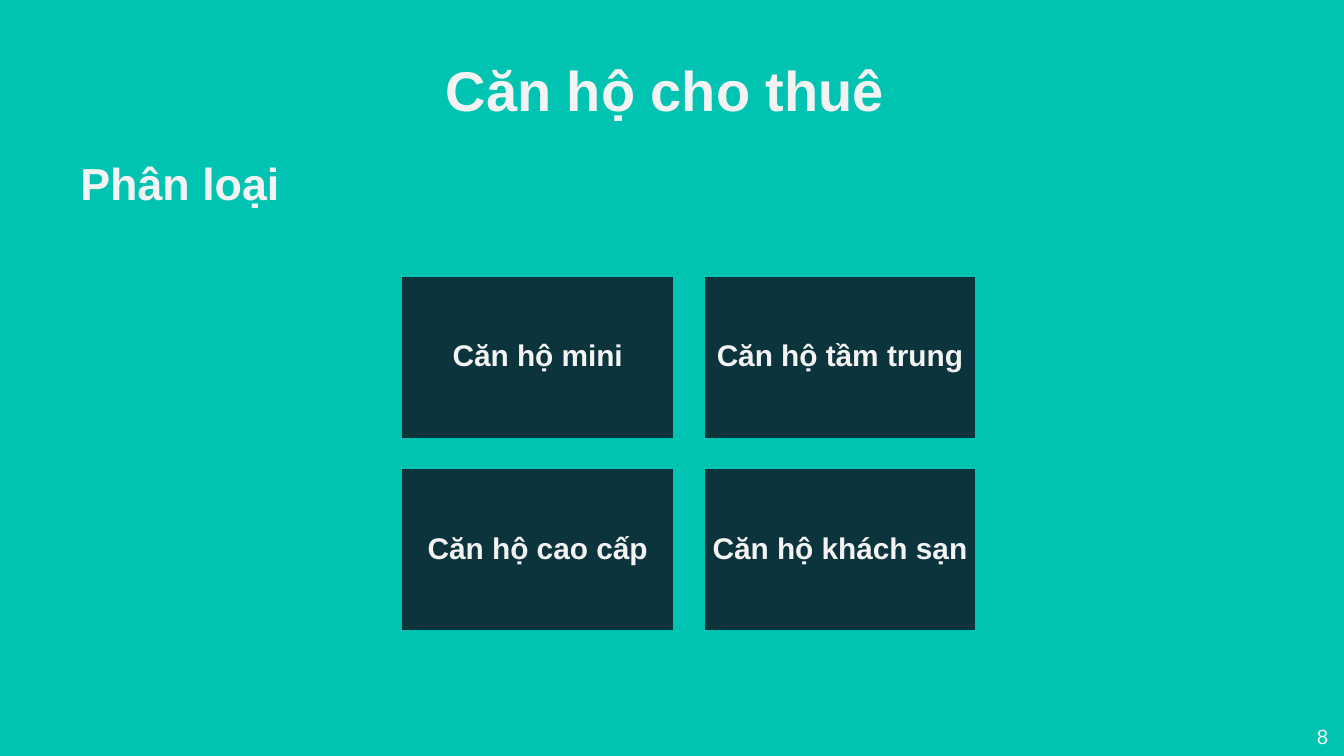
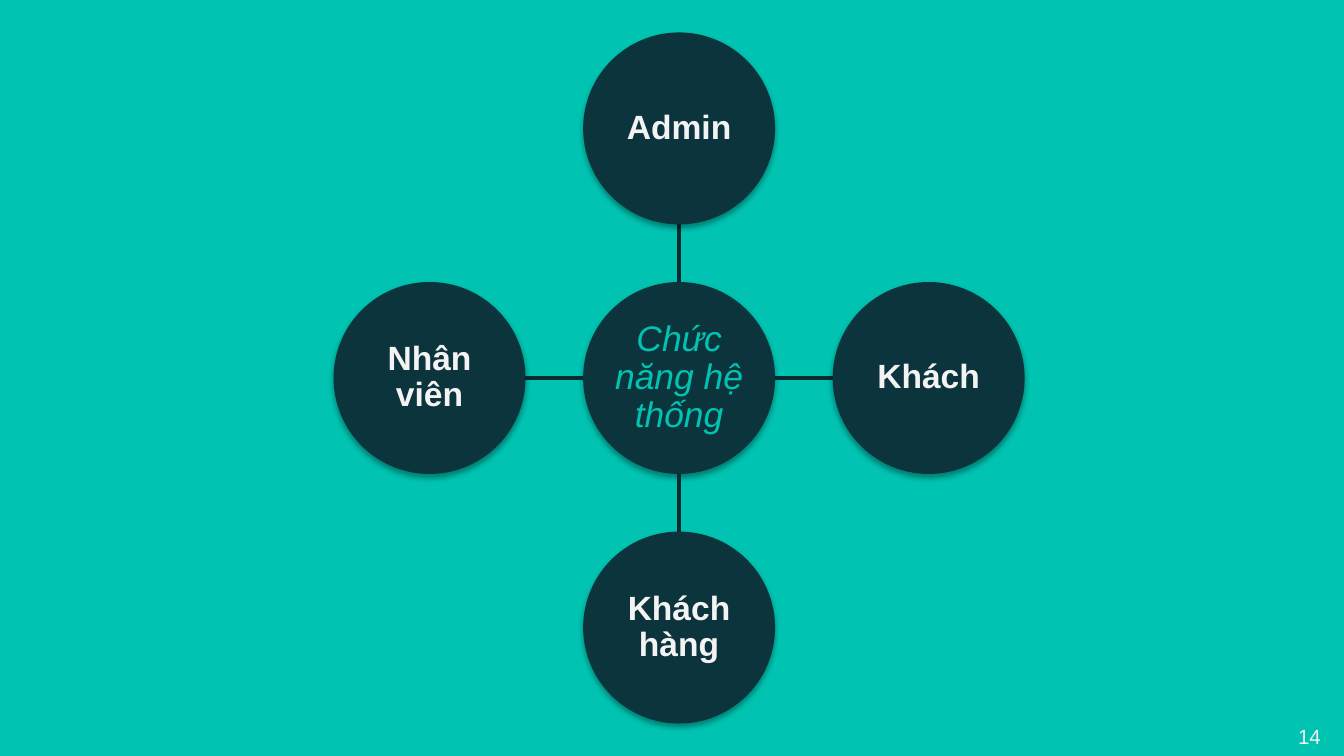
from dataclasses import dataclass

from lxml.etree import SubElement
from pptx import Presentation
from pptx.dml.color import RGBColor
from pptx.enum.shapes import MSO_CONNECTOR, MSO_SHAPE
from pptx.enum.text import MSO_ANCHOR, MSO_AUTO_SIZE, PP_ALIGN
from pptx.oxml.ns import qn
from pptx.util import Pt


@dataclass(frozen=True)
class Theme:
    teal: RGBColor = RGBColor(0x00, 0xC3, 0xB1)
    navy: RGBColor = RGBColor(0x0C, 0x34, 0x3D)
    spoke: RGBColor = RGBColor(0x0A, 0x2A, 0x31)
    pale: RGBColor = RGBColor(0xF3, 0xF3, 0xF3)
    font: str = "Arial"
    title: int = 30
    subtitle: int = 24
    hub: int = 19
    role: int = 18
    card: int = 16
    number: int = 11


THEME = Theme()
WIDTH, HEIGHT = 720, 405


def write(shape, text, size, align=PP_ALIGN.LEFT, anchor=MSO_ANCHOR.TOP,
          margins=(7.2, 7.2, 7.2, 7.2), spacing=1.0, color=THEME.pale,
          bold=False, italic=False):
    """Put one formatted paragraph in a shape; margins run left, top, right, bottom."""
    frame = shape.text_frame
    left, top, right, bottom = (Pt(margin) for margin in margins)
    frame_format = {
        "word_wrap": True, "auto_size": MSO_AUTO_SIZE.NONE, "vertical_anchor": anchor,
        "margin_left": left, "margin_top": top,
        "margin_right": right, "margin_bottom": bottom,
    }
    for name, value in frame_format.items():
        setattr(frame, name, value)
    para = frame.paragraphs[0]
    para.alignment, para.line_spacing = align, spacing
    span = para.add_run()
    span.text = text
    span.font.color.rgb = color
    font_format = {"name": THEME.font, "size": Pt(size), "bold": bold, "italic": italic}
    for name, value in font_format.items():
        setattr(span.font, name, value)


def add_title(page, text):
    title = page.shapes.title
    place = {"left": 57, "top": 22.3, "width": 607, "height": 45.4}
    for name, value in place.items():
        setattr(title, name, Pt(value))
    write(title, text, THEME.title, PP_ALIGN.CENTER,
          margins=(7.2, 7.2, 15.6, 7.2), bold=True)


def add_label(page, text, left, top, width, height, size, **text_format):
    box = page.shapes.add_textbox(Pt(left), Pt(top), Pt(width), Pt(height))
    write(box, text, size, **text_format)


def add_page_number(page, number, width):
    add_label(page, number, WIDTH - width, 384.5, width, 20.5, THEME.number,
              margins=(7.2, 3.6, 7.2, 3.6))


def add_block(page, kind, text, left, top, width, height, size, margin, **text_format):
    """Add a dark shape with centred text and no outline or shadow."""
    block = page.shapes.add_shape(kind, Pt(left), Pt(top), Pt(width), Pt(height))
    block.shadow.inherit = False
    block.fill.solid()
    block.fill.fore_color.rgb = THEME.navy
    block.line.fill.background()
    write(block, text, size, PP_ALIGN.CENTER, MSO_ANCHOR.MIDDLE, (margin,) * 4,
          0.9, **text_format)
    return block


def add_card(page, text, left, top, width, height):
    card = add_block(page, MSO_SHAPE.RECTANGLE, text, left, top, width, height,
                     THEME.card, 4, bold=True)
    card.line.color.rgb = THEME.teal
    card.line.width = Pt(2)


def add_circle(page, text, center_x, center_y, diameter, size, **text_format):
    circle = add_block(page, MSO_SHAPE.OVAL, text, center_x - diameter / 2,
                       center_y - diameter / 2, diameter, diameter, size, 0.7,
                       **text_format)
    effects = circle._element.spPr.find(qn("a:effectLst"))
    shadow = SubElement(effects, qn("a:outerShdw"), blurRad=str(Pt(3.1)),
                        dist=str(Pt(1.8)), dir="5400000", rotWithShape="0")
    black = SubElement(shadow, qn("a:srgbClr"), val="000000")
    SubElement(black, qn("a:alpha"), val="35000")


def add_spoke(page, start_x, start_y, end_x, end_y):
    spoke = page.shapes.add_connector(MSO_CONNECTOR.STRAIGHT, Pt(start_x), Pt(start_y),
                                      Pt(end_x), Pt(end_y))
    spoke.line.color.rgb = THEME.spoke
    spoke.line.width = Pt(2)
    SubElement(spoke._element.spPr, qn("a:effectLst"))


def build_apartment_types(deck):
    page = deck.slides.add_slide(deck.slide_layouts[5])
    add_title(page, "Căn hộ cho thuê")
    add_label(page, "Phân loại", 36, 76.3, 607, 45.4, THEME.subtitle, bold=True)
    width, height, gap = 147.2, 88.3, 14.7
    types = ("Căn hộ mini", "Căn hộ tầm trung", "Căn hộ cao cấp", "Căn hộ khách sạn")
    for index, text in enumerate(types):
        row, column = divmod(index, 2)
        add_card(page, text, 214.5 + column * (width + gap),
                 147.3 + row * (height + gap), width, height)
    add_page_number(page, "8", 21.6)


def build_system_roles(deck):
    page = deck.slides.add_slide(deck.slide_layouts[6])
    center_x, center_y, diameter, reach = 363.8, HEIGHT / 2, 102.8, 133.7
    radius = diameter / 2
    add_circle(page, "Chức năng hệ thống", center_x, center_y, diameter, THEME.hub,
               color=THEME.teal, italic=True)
    roles = {"Admin": (0, -1), "Khách": (1, 0), "Khách hàng": (0, 1), "Nhân viên": (-1, 0)}
    for text, (step_x, step_y) in roles.items():
        add_spoke(page, center_x + step_x * radius, center_y + step_y * radius,
                  center_x + step_x * (reach - radius),
                  center_y + step_y * (reach - radius))
        add_circle(page, text, center_x + step_x * reach, center_y + step_y * reach,
                   diameter, THEME.role, bold=True)
    add_page_number(page, "14", 31.7)


def main():
    deck = Presentation()
    deck.slide_width, deck.slide_height = Pt(WIDTH), Pt(HEIGHT)
    background = deck.slide_master.background.fill
    background.solid()
    background.fore_color.rgb = THEME.teal
    build_apartment_types(deck)
    build_system_roles(deck)
    deck.save("out.pptx")


if __name__ == "__main__":
    main()
